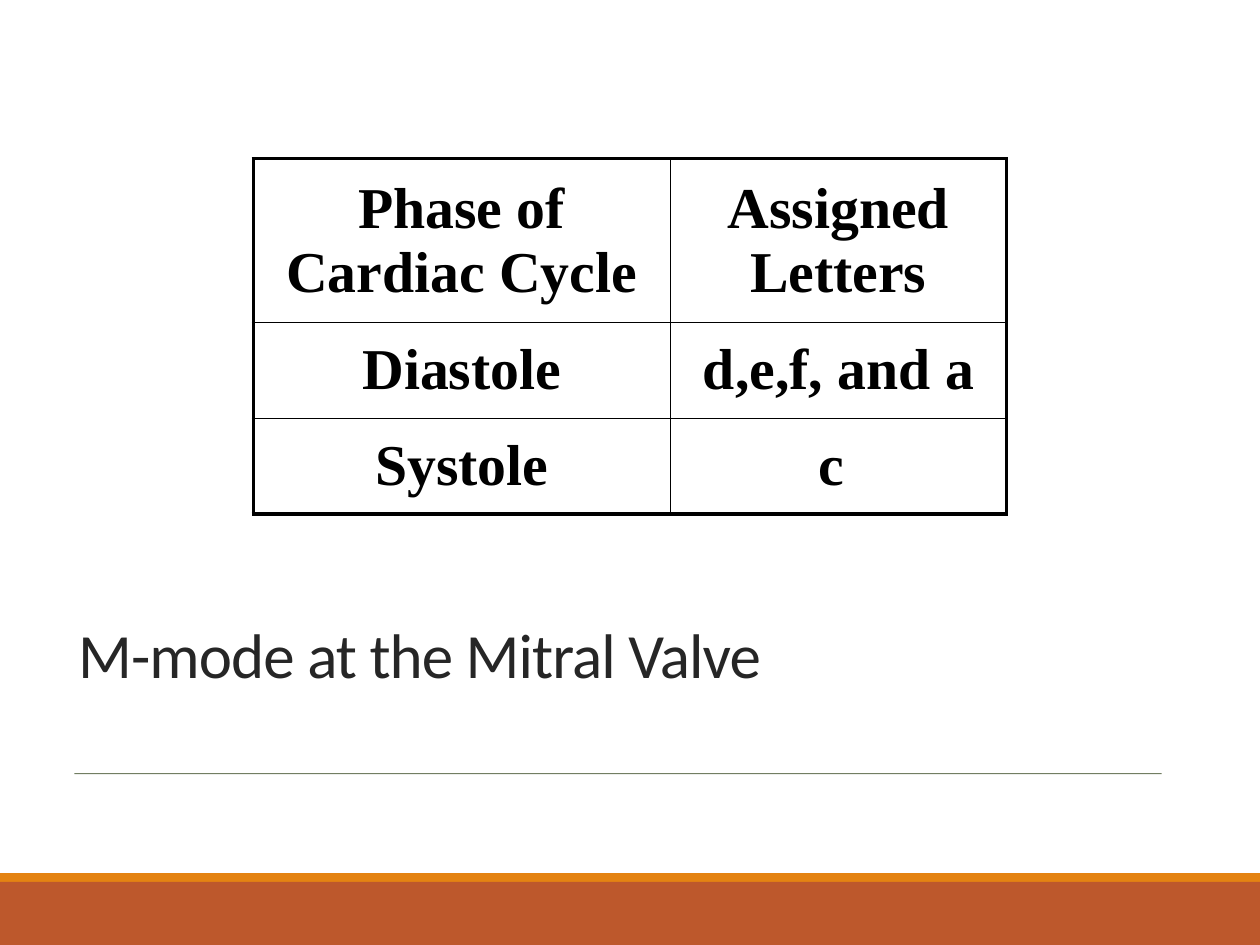
from lxml import etree
from pptx import Presentation
from pptx.dml.color import RGBColor
from pptx.enum.shapes import MSO_CONNECTOR, MSO_SHAPE
from pptx.enum.text import MSO_ANCHOR, MSO_AUTO_SIZE, PP_ALIGN
from pptx.oxml.ns import qn
from pptx.util import Inches, Pt

RECTANGLE = MSO_SHAPE.RECTANGLE
STRAIGHT = MSO_CONNECTOR.STRAIGHT
MIDDLE, BOTTOM = MSO_ANCHOR.MIDDLE, MSO_ANCHOR.BOTTOM
CENTER, LEFT = PP_ALIGN.CENTER, PP_ALIGN.LEFT
NO_AUTOFIT = MSO_AUTO_SIZE.NONE
TITLE_ONLY = 5

THICK, THIN = 2.25, 1
COLUMN_WIDTHS = [3.31, 2.67]
ROW_HEIGHTS = [1.3, 0.76, 0.76]
PHASES = [
    ["Phase of Cardiac Cycle", "Assigned Letters"],
    ["Diastole", "d,e,f, and a"],
    ["Systole", "c "],
]


def color(value):
    return RGBColor.from_string(value)


def place(item, left, top, width, height):
    item.left, item.top = Inches(left), Inches(top)
    item.width, item.height = Inches(width), Inches(height)


def add_span(para, text, font_name, size, text_color, bold=False):
    span = para.add_run()
    span.text = text
    font = span.font
    font.name, font.size, font.bold = font_name, Pt(size), bold
    font.color.rgb = color(text_color)
    return span


def add_band(page, top, height, fill):
    """Full-width rectangle without outline."""
    band = page.shapes.add_shape(RECTANGLE, 0, Inches(top), Inches(10), Inches(height))
    band.shadow.inherit = False
    band.fill.solid()
    band.fill.fore_color.rgb = color(fill)
    band.line.fill.background()
    return band


def add_rule(page):
    """Thin, slightly transparent line under the title."""
    rule = page.shapes.add_connector(
        STRAIGHT, Inches(0.59), Inches(6.14), Inches(9.22), Inches(6.14))
    rule.line.width = Pt(0.5)
    rule.line.color.rgb = color("637052")
    properties = rule.element.spPr
    tint = properties.find(".//" + qn("a:srgbClr"))
    etree.SubElement(tint, qn("a:alpha"), val="90000")
    etree.SubElement(properties, qn("a:effectLst"))


def set_title(page):
    title = page.shapes.title
    place(title, 0.52, 4.98, 8.95, 1.16)
    frame = title.text_frame
    frame.word_wrap = True
    frame.auto_size = NO_AUTOFIT
    frame.vertical_anchor = BOTTOM
    para = frame.paragraphs[0]
    para.alignment = LEFT
    para.line_spacing = 0.85
    span = add_span(para, "M-mode at the Mitral Valve", "Calibri", 36, "262626")
    span.font.element.set("spc", "-50") if hasattr(span.font, "element") else \
        para.runs[0].font._element.set("spc", "-50") if hasattr(span.font, "_element") else \
        para._p.find(".//" + qn("a:rPr")).set("spc", "-50")
    # The closing line break keeps the size of the title text
    para.add_line_break()
    line_break = para._p.find(qn("a:br"))
    etree.SubElement(line_break, qn("a:rPr"), sz="3600")
    etree.SubElement(para._p, qn("a:endParaRPr"), sz="3600")
    return title


def set_borders(cell, widths):
    """Black borders; widths in points for left, right, top, bottom."""
    properties = cell._tc.get_or_add_tcPr()
    for side, width in zip("LRTB", widths):
        border = etree.SubElement(properties, qn("a:ln" + side), w=str(Pt(width)))
        fill = etree.SubElement(border, qn("a:solidFill"))
        etree.SubElement(fill, qn("a:srgbClr"), val="000000")


def fill_cell(cell, text):
    cell.margin_left = cell.margin_right = Inches(0.17)
    cell.margin_top = cell.margin_bottom = Inches(0.08)
    cell.vertical_anchor = MIDDLE
    cell.fill.background()
    para = cell.text_frame.paragraphs[0]
    para.alignment = CENTER
    para.space_before = Pt(6.6)
    add_span(para, text, "Times New Roman", 33, "000000", bold=True)


def add_phase_table(page):
    rows, columns = len(ROW_HEIGHTS), len(COLUMN_WIDTHS)
    table = page.shapes.add_table(
        rows, columns, Inches(2.01), Inches(1.26),
        Inches(sum(COLUMN_WIDTHS)), Inches(sum(ROW_HEIGHTS))).table
    table.first_row = table.horz_banding = False
    for column, width in zip(table.columns, COLUMN_WIDTHS):
        column.width = Inches(width)
    for row, height in zip(table.rows, ROW_HEIGHTS):
        row.height = Inches(height)
    for r, texts in enumerate(PHASES):
        for c, text in enumerate(texts):
            # Outer edges are thick, inner ones thin
            outer = (c == 0, c == columns - 1, r == 0, r == rows - 1)
            cell = table.cell(r, c)
            set_borders(cell, [THICK if edge else THIN for edge in outer])
            fill_cell(cell, text)


def main():
    deck = Presentation()
    deck.slide_width, deck.slide_height = Inches(10), Inches(7.5)
    page = deck.slides.add_slide(deck.slide_layouts[TITLE_ONLY])

    # White panel behind the title
    title = set_title(page)
    panel = add_band(page, 0, 6.93, "FFFFFF")
    title.element.addprevious(panel.element)

    # Rule and footer bands
    add_rule(page)
    add_band(page, 6.93, 0.07, "E48312")
    add_band(page, 7, 0.5, "BD582C")

    add_phase_table(page)
    deck.save("out.pptx")


if __name__ == "__main__":
    main()
